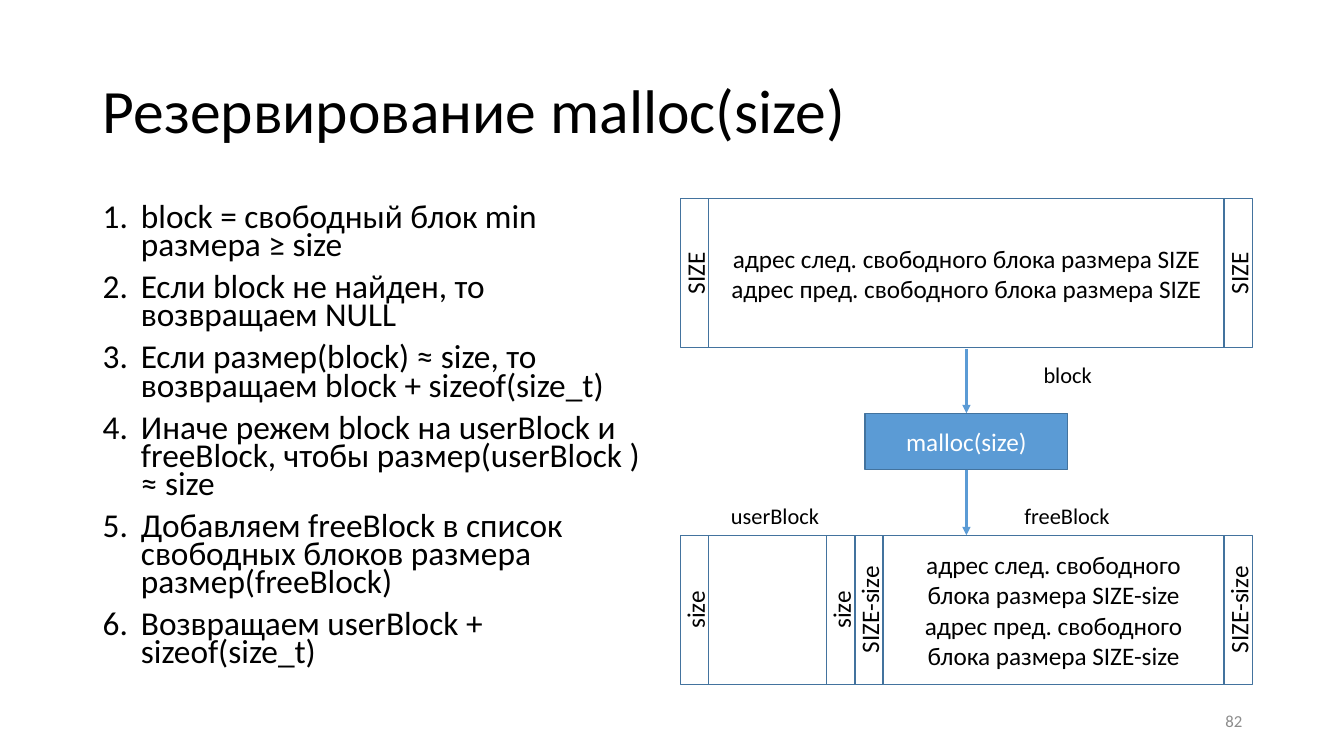
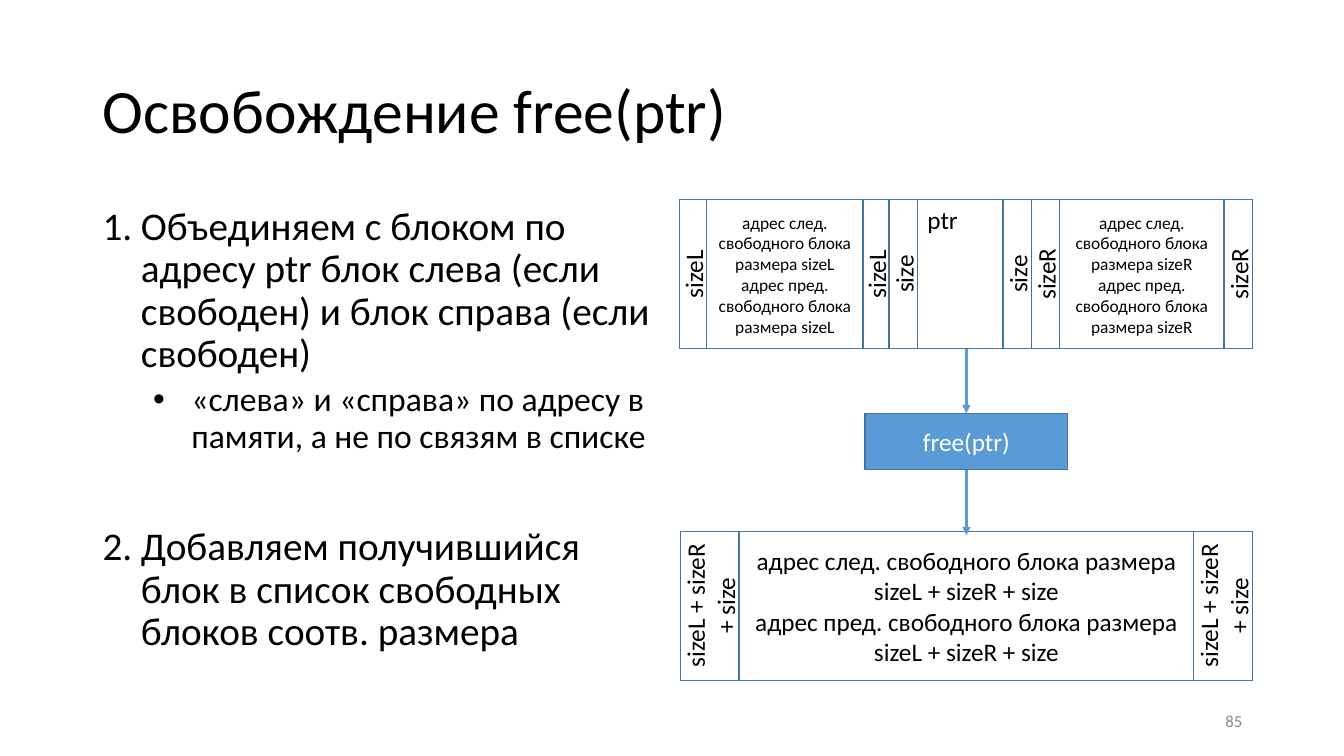
from lxml.etree import SubElement
from pptx import Presentation
from pptx.dml.color import RGBColor
from pptx.enum.shapes import MSO_CONNECTOR, MSO_SHAPE
from pptx.enum.text import MSO_ANCHOR, MSO_AUTO_SIZE, PP_ALIGN
from pptx.oxml.ns import qn
from pptx.util import Inches, Pt

BLACK = RGBColor(0x00, 0x00, 0x00)
WHITE = RGBColor(0xFF, 0xFF, 0xFF)
GREY = RGBColor(0x8C, 0x8C, 0x8C)
BLUE = RGBColor(0x5B, 0x9B, 0xD5)
DARK_BLUE = RGBColor(0x43, 0x73, 0x9E)
FONT = "Calibri"

# Boxes are left, top, width, height in inches
TITLE_BOX = (0.92, 0.4, 11.5, 1.45)
STEPS_BOX = (0.92, 2, 5.67, 4.76)
CALL_BOX = (8.58, 4.1, 2.01, 0.56)
NUMBER_BOX = (9.42, 6.95, 3, 0.4)
ROW_HEIGHT = 1.48
ROW_LEFT = 6.75
TAG = 0.28
ARROW_TOP, ARROW_BOTTOM = 3.46, 5.31

CENTRED = {"alignment": PP_ALIGN.CENTER}
TITLE_FORMAT = {"line_spacing": 0.9}
NUMBER_FORMAT = {"alignment": PP_ALIGN.RIGHT}
MIDDLE = {"word_wrap": True, "vertical_anchor": MSO_ANCHOR.MIDDLE}
TOP = {"word_wrap": True, "vertical_anchor": MSO_ANCHOR.TOP}
LABEL_FRAME = {
    "word_wrap": False,
    "auto_size": MSO_AUTO_SIZE.SHAPE_TO_FIT_TEXT,
    "margin_left": Inches(0.04),
    "margin_right": Inches(0.04),
    "margin_top": 0,
    "margin_bottom": 0,
}


def apply(target, values):
    for name, value in values.items():
        setattr(target, name, value)


def write(para, text, size, color=BLACK, para_format=None):
    apply(para, para_format or {})
    span = para.add_run()
    span.text = text
    apply(span.font, {"name": FONT, "size": Pt(size)})
    span.font.color.rgb = color


def fill_frame(frame, lines, size, color=BLACK, frame_format=MIDDLE, para_format=None):
    apply(frame, frame_format)
    for index, line in enumerate(lines):
        para = frame.add_paragraph() if index else frame.paragraphs[0]
        write(para, line, size, color, para_format)


def add_text(page, box, text, size, **formats):
    frame = page.shapes.add_textbox(*map(Inches, box)).text_frame
    fill_frame(frame, [text], size, **formats)


def add_rectangle(page, box, fill=None):
    shape = page.shapes.add_shape(MSO_SHAPE.RECTANGLE, *map(Inches, box))
    shape.shadow.inherit = False
    if fill is None:
        shape.fill.background()
    else:
        shape.fill.solid()
        shape.fill.fore_color.rgb = fill
    shape.line.color.rgb = DARK_BLUE
    shape.line.width = Pt(1)
    return shape


def add_arrow(page, x, top, bottom):
    arrow = page.shapes.add_connector(
        MSO_CONNECTOR.STRAIGHT, Inches(x), Inches(top), Inches(x), Inches(bottom))
    arrow.line.color.rgb = BLUE
    arrow.line.width = Pt(2)
    SubElement(arrow.line._get_or_add_ln(), qn("a:tailEnd"), type="triangle")
    SubElement(arrow.element.spPr, qn("a:effectLst"))


def tag(text, width=TAG):
    """Describe a narrow cell whose text reads upwards."""
    return {"lines": [text], "width": width, "vert": "vert270"}


def links(size_name, width, size=18):
    """Describe a cell with the addresses of the two neighbours in a free list."""
    lines = [f"адрес {side}. свободного блока размера {size_name}"
             for side in ("след", "пред")]
    return {"lines": lines, "width": width, "size": size}


def add_memory_row(page, left, top, cells):
    for cell in cells:
        shape = add_rectangle(page, (left, top, cell["width"], ROW_HEIGHT))
        corner = cell.get("corner", False)
        fill_frame(shape.text_frame, cell["lines"], cell.get("size", 18),
                   frame_format=TOP if corner else MIDDLE,
                   para_format={"alignment": PP_ALIGN.LEFT} if corner else CENTRED)
        if "vert" in cell:
            shape.element.txBody.bodyPr.set("vert", cell["vert"])
        left += cell["width"]


def add_call(page, box, name):
    """Draw the function box with an arrow into it and one out of it."""
    left, top, width, height = box
    shape = add_rectangle(page, box, BLUE)
    fill_frame(shape.text_frame, [name], 18, WHITE, para_format=CENTRED)
    middle = left + width / 2
    add_arrow(page, middle, ARROW_TOP, top)
    add_arrow(page, middle, top + height, ARROW_BOTTOM)


def set_marker(para, indent, number=None):
    """Give the paragraph a hanging number, or a bullet when there is none."""
    properties = para._p.get_or_add_pPr()
    properties.set("marL", str(Inches(indent)))
    properties.set("indent", str(Inches(-0.38)))
    if number:
        SubElement(properties, qn("a:buFont"), typeface=FONT)
        SubElement(properties, qn("a:buAutoNum"), type="arabicPeriod", startAt=str(number))
    else:
        SubElement(properties, qn("a:buFont"), typeface="Arial")
        SubElement(properties, qn("a:buChar"), char="•")


def add_steps(page, box, steps, line_spacing):
    """Write steps of (text, size, space before, is a numbered step)."""
    frame = page.shapes.add_textbox(*map(Inches, box)).text_frame
    apply(frame, TOP)
    number = 0
    for index, (text, size, before, numbered) in enumerate(steps):
        para = frame.add_paragraph() if index else frame.paragraphs[0]
        write(para, text, size, para_format={
            "line_spacing": line_spacing, "space_before": Pt(before),
            "level": 0 if numbered else 1})
        if numbered:
            number += 1
            # A run of steps shares one start; a bullet in between restarts it
            after_bullet = index and not steps[index - 1][3]
            start = number if after_bullet else 1
            set_marker(para, 0.38, start)
        else:
            set_marker(para, 0.88)


def add_page(deck, title, number):
    page = deck.slides.add_slide(deck.slide_layouts[6])
    add_text(page, TITLE_BOX, title, 44, para_format=TITLE_FORMAT)
    add_text(page, NUMBER_BOX, number, 12, color=GREY, para_format=NUMBER_FORMAT)
    return page


def add_malloc_page(deck):
    page = add_page(deck, "Резервирование malloc(size)", "82")
    steps = [
        "block = свободный блок min размера ≥ size",
        "Если block не найден, то возвращаем NULL",
        "Если размер(block) ≈ size, то возвращаем block + sizeof(size_t)",
        "Иначе режем block на userBlock и freeBlock, чтобы размер(userBlock ) ≈ size",
        "Добавляем freeBlock в список свободных блоков размера размер(freeBlock)",
        "Возвращаем userBlock + sizeof(size_t)",
    ]
    add_steps(page, STEPS_BOX, [(step, 23.8, 10, True) for step in steps], 0.7)
    add_memory_row(page, ROW_LEFT, 1.97, [tag("SIZE"), links("SIZE", 5.11), tag("SIZE")])
    add_memory_row(page, ROW_LEFT, 5.31, [
        tag("size"), {"lines": [], "width": 1.17}, tag("size"),
        tag("SIZE-size"), links("SIZE-size", 3.38), tag("SIZE-size")])
    for text, left, top, width in (("block", 10.31, 3.58, 0.56),
                                   ("userBlock", 7.21, 4.98, 0.96),
                                   ("freeBlock", 10.12, 4.98, 0.94)):
        add_text(page, (left, top, width, 0.27), text, 16, frame_format=LABEL_FRAME)
    add_call(page, CALL_BOX, "malloc(size)")


def add_free_page(deck):
    page = add_page(deck, "Освобождение free(ptr)", "85")
    add_steps(page, STEPS_BOX, [
        ("Объединяем с блоком по адресу ptr блок слева (если свободен) "
         "и блок справа (если свободен)", 28, 10, True),
        ("«слева» и «справа» по адресу в памяти, а не по связям в списке", 24, 5, False),
        ("Добавляем получившийся блок в список свободных блоков соотв. размера",
         28, 51, True),
    ], 0.9)
    add_memory_row(page, 6.74, 1.98, [
        tag("sizeL", 0.27), links("sizeL", 1.55, 12.4), tag("sizeL", 0.26),
        tag("size"), {"lines": ["ptr"], "width": 0.85, "corner": True}, tag("size"),
        tag("sizeR"), links("sizeR", 1.63, 12.4), tag("sizeR")])
    total = "sizeL + sizeR + size"
    add_memory_row(page, ROW_LEFT, 5.27, [
        tag(total, 0.58), links(total, 4.51), tag(total, 0.58)])
    add_call(page, CALL_BOX, "free(ptr)")


def main():
    deck = Presentation()
    deck.slide_width, deck.slide_height = Inches(13.33), Inches(7.5)
    add_malloc_page(deck)
    add_free_page(deck)
    deck.save("out.pptx")


if __name__ == "__main__":
    main()
